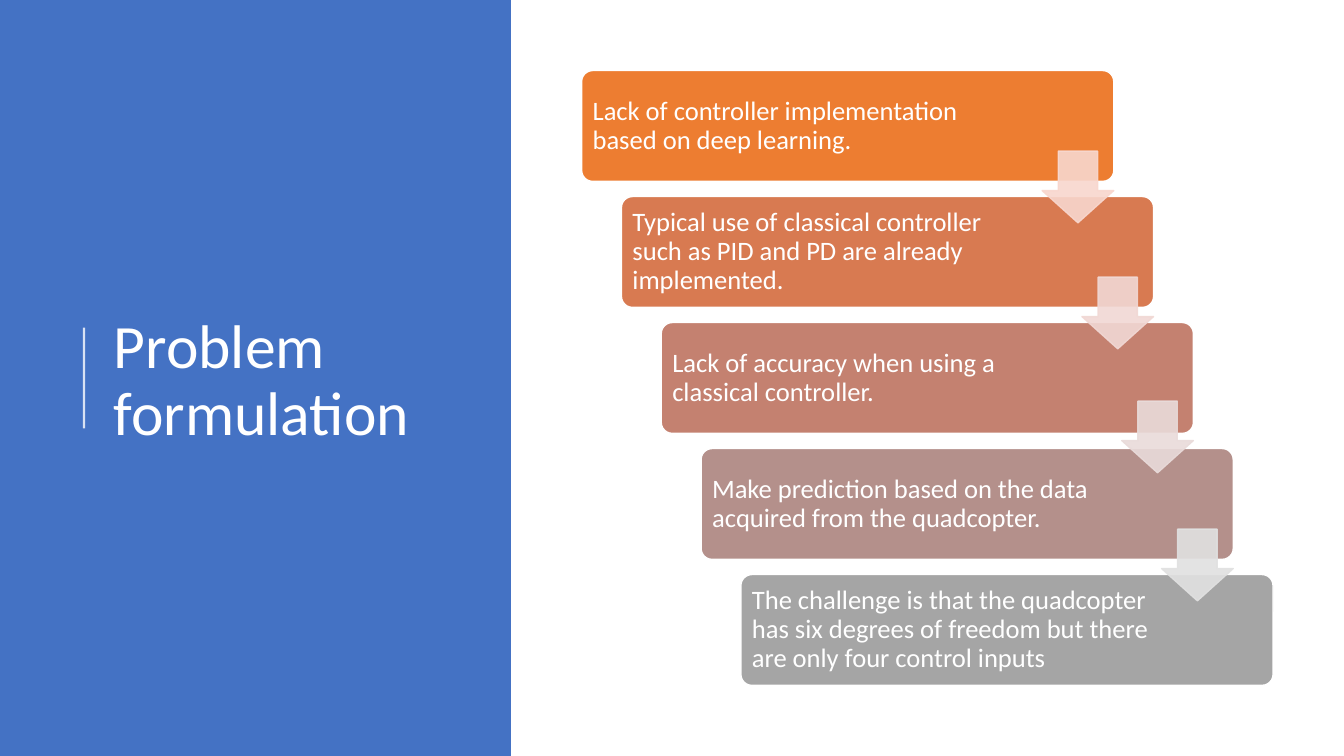
from dataclasses import dataclass

from pptx import Presentation
from pptx import util as u
from pptx.dml.color import RGBColor
from pptx.enum import shapes, text
from pptx.oxml import ns, xmlchemy
from pptx.shapes.autoshape import Shape
from pptx.shapes.base import BaseShape
from pptx.shapes.group import GroupShape
from pptx.slide import Slide
from pptx.text.text import TextFrame


@dataclass(frozen=True)
class Theme:
    font: str = "Calibri"
    title_size: float = 44
    step_size: float = 19
    panel: str = "4472C4"
    white: str = "FFFFFF"


@dataclass(frozen=True)
class Step:
    wording: str
    color: str
    text_width: float = 295.92
    arrow_color: str | None = None
    arrow_shift: float = 0


THEME = Theme()
STEPS = [
    Step("Lack of controller implementation based on deep learning.",
         "ED7D31", text_width=285.84, arrow_color="F8D7CE"),
    Step("Typical use of classical controller such as PID and PD are already implemented.",
         "D87A51", arrow_color="F1D8D4"),
    Step("Lack of accuracy when using a classical controller.",
         "C48170", arrow_color="E9DBDA", arrow_shift=-1.44),
    Step("Make prediction based on the data acquired from the quadcopter.",
         "B4908B", arrow_color="E1E1E1"),
    Step("The challenge is that the quadcopter has six degrees of freedom "
         "but there are only four control inputs", "A5A5A5"),
]

CARD_LEFT, CARD_TOP = 415.44, 50.4
CARD_WIDTH, CARD_HEIGHT = 380.16, 79.2
STEP_RIGHT, STEP_DOWN = 28.44, 90
TEXT_GAP, TEXT_INSET = 2.4, 5.5
ARROW_LEFT, ARROW_TOP, ARROW_SIZE = 744.4, 108, 51.2


def set_opacity(shape: BaseShape, percent: int) -> None:
    for color in shape.element.iter(ns.qn("a:srgbClr")):
        alpha = xmlchemy.OxmlElement("a:alpha")
        alpha.set("val", str(percent * 1000))
        color.append(alpha)


def add_block(parent: Slide | GroupShape, kind: shapes.MSO_SHAPE, left: float, top: float,
              width: float, height: float, fill: str, outline: str | None = None) -> Shape:
    block = parent.shapes.add_shape(kind, u.Pt(left), u.Pt(top), u.Pt(width), u.Pt(height))
    block.shadow.inherit = False
    block.fill.solid()
    block.fill.fore_color.rgb = RGBColor.from_string(fill)
    if outline:
        block.line.color.rgb = RGBColor.from_string(outline)
        block.line.width = u.Pt(1)
    else:
        block.line.fill.background()
    return block


def write(frame: TextFrame, wording: str, size: float) -> None:
    frame.word_wrap = True
    frame.auto_size = text.MSO_AUTO_SIZE.NONE
    frame.vertical_anchor = text.MSO_ANCHOR.MIDDLE
    para = frame.paragraphs[0]
    para.text = wording
    para.alignment = text.PP_ALIGN.LEFT
    para.line_spacing = 0.9
    para.font.name = THEME.font
    para.font.size = u.Pt(size)
    para.font.color.rgb = RGBColor.from_string(THEME.white)


def add_title(page: Slide) -> None:
    title = page.shapes.title
    title.left, title.top = u.Pt(74.16), u.Pt(56.16)
    title.width, title.height = u.Pt(265.68), u.Pt(433.44)
    write(title.text_frame, "Problem formulation", THEME.title_size)
    panel = add_block(page, shapes.MSO_SHAPE.RECTANGLE, 0, 0, 365.04, 540, THEME.panel)
    title.element.addprevious(panel.element)
    rule = page.shapes.add_connector(
        shapes.MSO_CONNECTOR.STRAIGHT, u.Pt(60), u.Pt(306), u.Pt(60), u.Pt(234))
    rule.line.color.rgb = RGBColor.from_string(THEME.white)
    rule.line.width = u.Pt(1.5)
    set_opacity(rule, 80)
    rule.element.spPr.append(xmlchemy.OxmlElement("a:effectLst"))


def add_card(staircase: GroupShape, index: int, step: Step) -> None:
    left = CARD_LEFT + index * STEP_RIGHT
    top = CARD_TOP + index * STEP_DOWN
    card = add_block(staircase, shapes.MSO_SHAPE.ROUNDED_RECTANGLE, left, top,
                     CARD_WIDTH, CARD_HEIGHT, step.color, THEME.white)
    card.adjustments[0] = 0.1
    box = staircase.shapes.add_textbox(
        u.Pt(left + TEXT_GAP), u.Pt(top + TEXT_GAP),
        u.Pt(step.text_width), u.Pt(CARD_HEIGHT - 2 * TEXT_GAP))
    frame = box.text_frame
    frame.margin_left = frame.margin_right = u.Pt(TEXT_INSET)
    frame.margin_top = frame.margin_bottom = u.Pt(TEXT_INSET)
    write(frame, step.wording, THEME.step_size)


def add_arrow(staircase: GroupShape, index: int, step: Step) -> None:
    arrow = add_block(staircase, shapes.MSO_SHAPE.DOWN_ARROW,
                      ARROW_LEFT + index * STEP_RIGHT,
                      ARROW_TOP + index * STEP_DOWN + step.arrow_shift,
                      ARROW_SIZE, ARROW_SIZE, step.arrow_color, step.arrow_color)
    arrow.adjustments[0] = 0.55
    arrow.adjustments[1] = 0.45
    set_opacity(arrow, 90)


def main() -> None:
    deck = Presentation()
    deck.slide_width, deck.slide_height = u.Pt(960), u.Pt(540)
    page = deck.slides.add_slide(deck.slide_layouts.get_by_name("Title Only"))
    add_title(page)
    staircase = page.shapes.add_group_shape()
    for index, step in enumerate(STEPS):
        add_card(staircase, index, step)
    for index, step in enumerate(STEPS):
        if step.arrow_color:
            add_arrow(staircase, index, step)
    deck.save("out.pptx")


if __name__ == "__main__":
    main()
